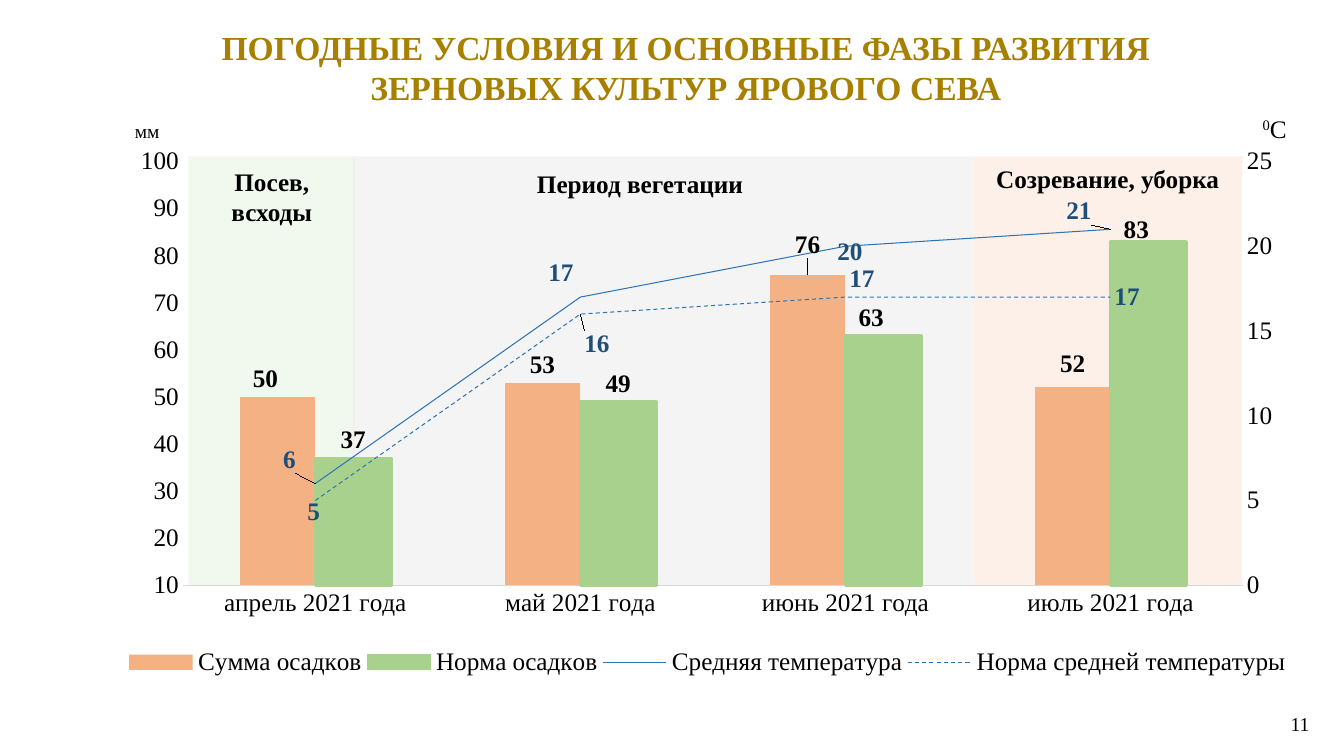
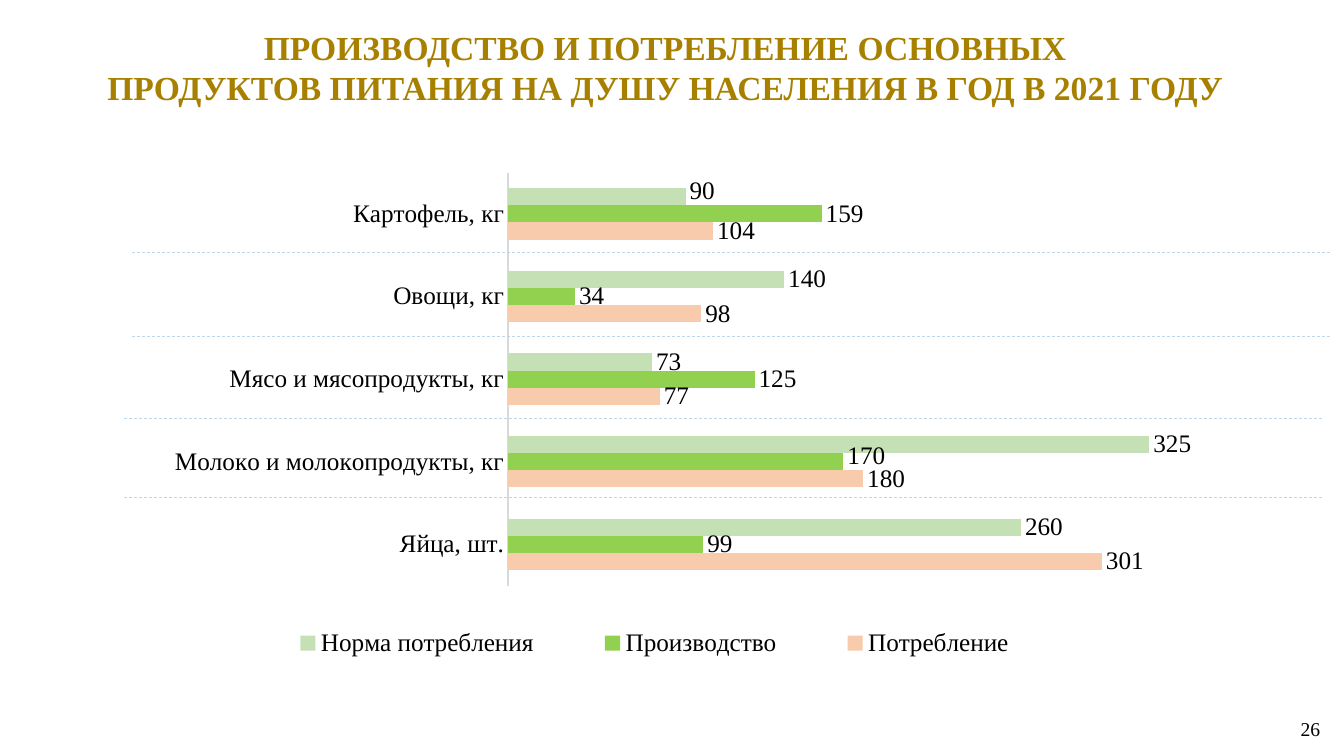
from lxml.etree import SubElement
from pptx import Presentation
from pptx.chart.data import CategoryChartData
from pptx.dml.color import RGBColor
from pptx.enum.chart import (XL_CHART_TYPE, XL_LABEL_POSITION, XL_LEGEND_POSITION,
                             XL_MARKER_STYLE, XL_TICK_MARK)
from pptx.enum.dml import MSO_LINE
from pptx.enum.shapes import MSO_CONNECTOR, MSO_SHAPE
from pptx.enum.text import MSO_ANCHOR, MSO_AUTO_SIZE, PP_ALIGN
from pptx.oxml import parse_xml
from pptx.oxml.ns import nsdecls, qn
from pptx.util import Cm, Pt

COLUMN, BAR = XL_CHART_TYPE.COLUMN_CLUSTERED, XL_CHART_TYPE.BAR_CLUSTERED
OUTSIDE, BESIDE = XL_LABEL_POSITION.OUTSIDE_END, XL_LABEL_POSITION.RIGHT
BOTTOM, NO_TICK, NO_MARK = XL_LEGEND_POSITION.BOTTOM, XL_TICK_MARK.NONE, XL_MARKER_STYLE.NONE
LEFT, CENTER, RIGHT = PP_ALIGN.LEFT, PP_ALIGN.CENTER, PP_ALIGN.RIGHT
DASH, MIDDLE, TOP = MSO_LINE.DASH, MSO_ANCHOR.MIDDLE, MSO_ANCHOR.TOP
FACE, GOLD, BLACK, NAVY, BLUE = "Times New Roman", "A88000", "000000", "1F4E79", "2E75B6"
GRAY, WHITE = "D9D9D9", "FFFFFF"
hue = RGBColor.from_string


def ink(font, color, size, bold=False):
    """Format a font."""
    form = {"name": FACE, "size": Pt(size), "bold": bold}
    for key, val in form.items():
        setattr(font, key, val)
    font.color.rgb = hue(color)


def place(home, index, spot, lead=""):
    """Give a chart part a manual layout: spot holds x, y and perhaps w, h."""
    for old in home.findall(qn("c:layout")):
        home.remove(old)
    parts = "".join(f'<c:{key} val="{val}"/>' for key, val in zip("xywh", spot))
    home.insert(index, parse_xml(
        f'<c:layout {nsdecls("c")}><c:manualLayout>{lead}{parts}</c:manualLayout></c:layout>'))


deck = Presentation()
deck.slide_width, deck.slide_height = Cm(33.87), Cm(19.05)

# Titles
heads = [
    ((2.26, 0.53, 30.05, 2.31), ["ПОГОДНЫЕ УСЛОВИЯ И ОСНОВНЫЕ ФАЗЫ РАЗВИТИЯ",
                                 "ЗЕРНОВЫХ КУЛЬТУР ЯРОВОГО СЕВА"], 0),
    ((2.31, 0.58, 29.57, 2.21), ["ПРОИЗВОДСТВО И ПОТРЕБЛЕНИЕ ОСНОВНЫХ",
                                 "ПРОДУКТОВ ПИТАНИЯ НА ДУШУ НАСЕЛЕНИЯ В ГОД В 2021 ГОДУ"], 0.66),
]
for spot, lines, inset in heads:
    slide = deck.slides.add_slide(deck.slide_layouts[5])
    title = slide.shapes.title
    title.left, title.top, title.width, title.height = map(Cm, spot)
    frame = title.text_frame
    frame.text = "\n".join(lines)
    frame.auto_size, frame.vertical_anchor = MSO_AUTO_SIZE.NONE, MIDDLE
    for para in frame.paragraphs:
        para.alignment = CENTER
        ink(para.font, GOLD, 24, True)
    frame.paragraphs[0]._p.get_or_add_pPr().set("marR", str(Cm(inset)))
rain, food = deck.slides

# Season bands behind the weather chart
for left, width, color, share in [(24.54, 6.78, "FBE5D6", 56), (4.75, 4.19, "E2F0D9", 45),
                                  (8.89, 15.65, "EDEDED", 57)]:
    band = rain.shapes.add_shape(MSO_SHAPE.RECTANGLE, Cm(left), Cm(3.94), Cm(width), Cm(10.8))
    band.shadow.inherit = False
    band.fill.solid()
    band.fill.fore_color.rgb = hue(color)
    tint = band._element.spPr.find(".//" + qn("a:srgbClr"))
    SubElement(tint, qn("a:alpha")).set("val", str(share * 1000))
    band.line.fill.background()

# Charts; a series is name, values, colour, label colour, label shifts by point
plans = [
    {"slide": rain, "kind": COLUMN, "spot": (2.21, 3.68, 30.33, 15.04), "gap": 150,
     "plot": (0.079, 0.026, 0.881, 0.71), "key": (0.03, 0.83, 0.97, 0.07),
     "range": (10, 100, 10), "lines": 2, "bold": True,
     "cats": [f"{month} 2021 года" for month in ("апрель", "май", "июнь", "июль")],
     "series": [
         ("Сумма осадков", (50, 53, 76, 52), "F4B183", BLACK,
          {0: (-0.01, 0), 2: (0, -0.02), 3: (0, -0.01)}),
         ("Норма осадков", (37, 49, 63, 83), "A9D18E", BLACK,
          {2: (-0.01, 0), 3: (-0.01, 0.01)}),
         ("Средняя температура", (6, 17, 20, 21), BLUE, NAVY,
          {0: (-0.03, -0.04), 1: (-0.03, -0.04), 2: (-0.01, 0.01), 3: (-0.04, -0.03)}),
         ("Норма средней температуры", (5, 16, 17, 17), BLUE, NAVY,
          {0: (-0.01, 0.02), 1: (0, 0.05), 2: (0, -0.03)})]},
    {"slide": food, "kind": BAR, "spot": (2.01, 2.9, 28.4, 13.79), "gap": 182,
     "plot": (0.38, 0.105, 0.613, 0.755), "key": (0.14, 0.93, 0.74, 0.07),
     "range": (0, 350, 50), "lines": 0, "bold": False,
     "cats": ["Яйца, шт.", "Молоко и молокопродукты, кг", "Мясо и мясопродукты, кг",
              "Овощи, кг", "Картофель, кг"],
     "series": [
         ("Потребление", (301, 180, 77, 98, 104), "F8CBAD", BLACK, {}),
         ("Производство", (99, 170, 125, 34, 159), "92D050", BLACK, {1: (0, -0.01)}),
         ("Норма потребления", (260, 325, 73, 140, 90), "C5E0B4", BLACK, {4: (0, -0.01)})]},
]
for plan in plans:
    data = CategoryChartData()
    data.categories = plan["cats"]
    for name, vals, *_ in plan["series"]:
        data.add_series(name, vals)
    chart = plan["slide"].shapes.add_chart(plan["kind"], *map(Cm, plan["spot"]), data).chart
    ink(chart.font, BLACK, 18)
    chart.has_title = False
    area = chart._chartSpace.chart.plotArea
    edge = '<c:xMode val="edge"/><c:yMode val="edge"/>'
    place(area, 0, plan["plot"], '<c:layoutTarget val="inner"/>' + edge)
    chart.has_legend = True
    chart.legend.position, chart.legend.include_in_layout = BOTTOM, False
    ink(chart.legend.font, BLACK, 18)
    place(chart.legend._element, 1, plan["key"], edge)

    base, scale = chart.category_axis, chart.value_axis
    scale.minimum_scale, scale.maximum_scale, scale.major_unit = plan["range"]
    scale.has_major_gridlines = False
    scale.format.line.fill.background()
    scale.visible = plan["kind"] == COLUMN
    base.format.line.color.rgb = hue(GRAY)
    base.format.line.width = Pt(0.75)
    for axis in (base, scale):
        axis.major_tick_mark = axis.minor_tick_mark = NO_TICK
        ink(axis.tick_labels.font, BLACK, 18)
    bars = chart.plots[0]
    bars.gap_width, bars.overlap = plan["gap"], 0

    # The last series become lines on a right-hand axis
    if plan["lines"]:
        curve = parse_xml(
            f'<c:lineChart {nsdecls("c")}><c:grouping val="standard"/><c:varyColors val="0"/>'
            '<c:marker val="1"/><c:axId val="501"/><c:axId val="502"/></c:lineChart>')
        mark = curve.find(qn("c:marker"))
        for item in area.findall(".//" + qn("c:ser"))[-plan["lines"]:]:
            for flag in item.findall(qn("c:invertIfNegative")):
                item.remove(flag)
            mark.addprevious(item)
        area.find(qn("c:barChart")).addnext(curve)
        last = area.find(qn("c:valAx"))
        last.addnext(parse_xml(
            f'<c:valAx {nsdecls("c", "a")}><c:axId val="502"/><c:scaling>'
            '<c:orientation val="minMax"/><c:max val="25"/><c:min val="0"/></c:scaling>'
            '<c:delete val="0"/><c:axPos val="r"/><c:numFmt formatCode="General" sourceLinked="0"/>'
            '<c:majorTickMark val="none"/><c:minorTickMark val="none"/><c:tickLblPos val="nextTo"/>'
            f'<c:spPr><a:ln w="9525"><a:solidFill><a:srgbClr val="{WHITE}"/></a:solidFill></a:ln>'
            '</c:spPr><c:crossAx val="501"/><c:crosses val="max"/><c:majorUnit val="5"/></c:valAx>'))
        last.addnext(parse_xml(
            f'<c:catAx {nsdecls("c")}><c:axId val="501"/><c:scaling><c:orientation val="minMax"/>'
            '</c:scaling><c:delete val="1"/><c:axPos val="b"/><c:crossAx val="502"/></c:catAx>'))
    for plot in chart.plots:
        plot.vary_by_categories = False

    count = len(plan["series"]) - plan["lines"]
    for num, (row, spec) in enumerate(zip(chart.series, plan["series"])):
        color, dark, shifts = spec[2:]
        if num < count:
            row.format.fill.solid()
            row.format.fill.fore_color.rgb = hue(color)
            side = OUTSIDE
        else:
            row.format.line.color.rgb = hue(color)
            row.format.line.width = Pt(0.75)
            row.smooth, row.marker.style, side = False, NO_MARK, BESIDE
        tags = row.data_labels
        form = {"show_value": True, "number_format": "#,##0",
                "number_format_is_linked": False, "position": side}
        for key, val in form.items():
            setattr(tags, key, val)
        ink(tags.font, dark, 18, plan["bold"])
        for point, shift in shifts.items():
            tag = row.points[point].data_label
            ink(tag.font, dark, 18, plan["bold"])
            tag.position = side
            place(tag._dLbl, 1, shift)
    if plan["lines"]:
        row.format.line.dash_style = DASH
        edging = chart.series[1].format.line
        edging.color.rgb, edging.width = hue("A9D18E"), Pt(2.25)

# Page numbers, season names and units; a run is text, size, baseline
notes = [
    (rain, (31.93, 17.73, 1.32, 0.99), RIGHT, MIDDLE, False, [("11", 14, 0)]),
    (food, (32.33, 17.93, 1.19, 0.86), RIGHT, MIDDLE, False, [("26", 14, 0)]),
    (rain, (5.54, 4.06, 2.62, 1.8), CENTER, TOP, True, [("Посев, всходы", 18, 0)]),
    (rain, (12.32, 4.11, 7.62, 1.02), CENTER, TOP, True, [("Период вегетации", 18, 0)]),
    (rain, (24.74, 3.99, 6.35, 1.02), CENTER, TOP, True, [("Созревание, уборка", 18, 0)]),
    (rain, (31.57, 2.72, 1.32, 1.02), LEFT, TOP, False, [("0", 18, 30), ("С", 18, 0)]),
    (rain, (3.15, 2.77, 1.32, 1.27), LEFT, TOP, False, [("мм", 24, 30)]),
]
for slide, spot, align, anchor, bold, runs in notes:
    frame = slide.shapes.add_textbox(*map(Cm, spot)).text_frame
    frame.word_wrap, frame.vertical_anchor = True, anchor
    para = frame.paragraphs[0]
    para.alignment = align
    for words, size, lift in runs:
        run = para.add_run()
        run.text = words
        ink(run.font, BLACK, size, bold)
        if lift:
            run._r.get_or_add_rPr().set("baseline", str(lift * 1000))

# Dashed rules between the products
for left, top in [(3.33, 6.35), (3.33, 8.48), (3.12, 10.54), (3.12, 12.52)]:
    rule = food.shapes.add_connector(MSO_CONNECTOR.STRAIGHT, Cm(left), Cm(top),
                                     Cm(left + 30.2), Cm(top))
    rule.line.color.rgb, rule.line.width = hue("BDD7EE"), Pt(0.5)
    rule.line.dash_style = DASH
    SubElement(rule._element.spPr, qn("a:effectLst"))

deck.save("out.pptx")
